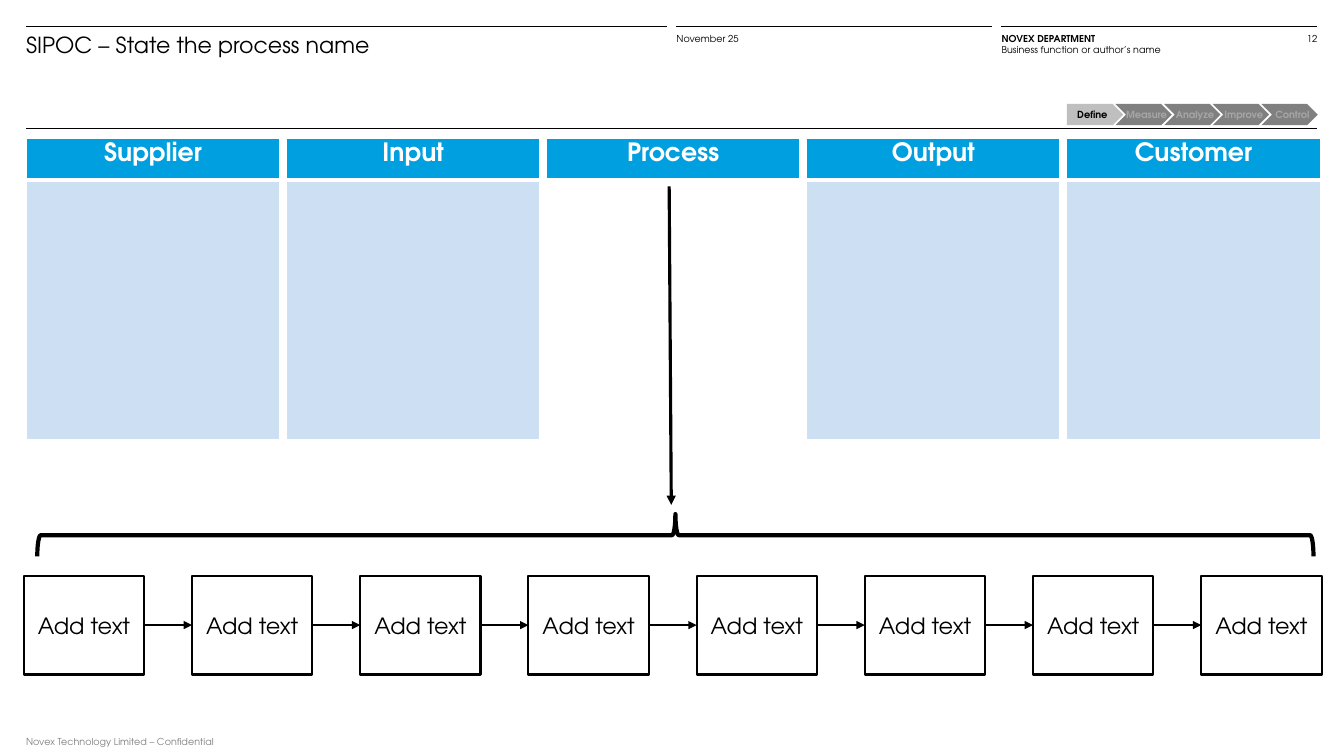
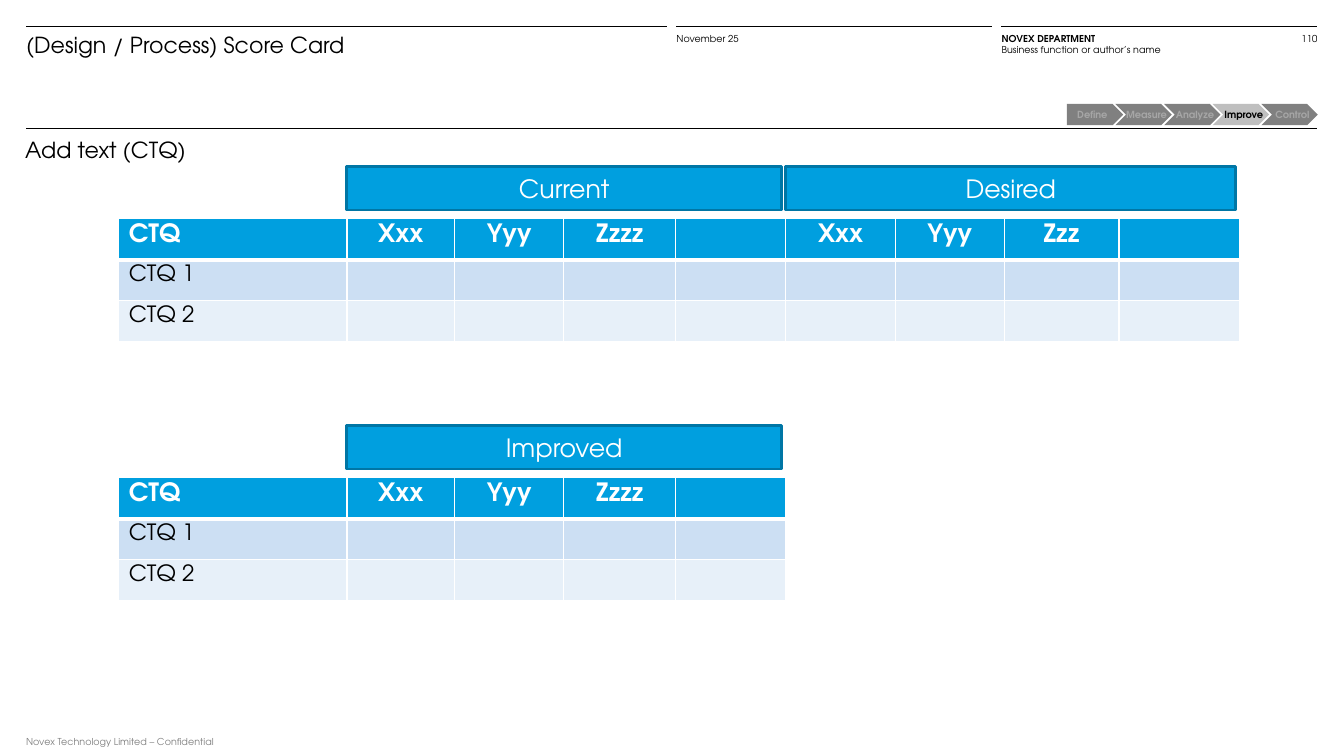
from lxml import etree
from pptx import Presentation
from pptx.dml.color import RGBColor
from pptx.enum import shapes, text
from pptx.oxml.ns import qn
from pptx.util import Pt

# Content
DATE = "November 25"
AUTHOR = ["NOVEX DEPARTMENT", "Business function or author’s name"]
FOOTER = "Novex Technology Limited – Confidential"
PHASES = ["Define", "Measure", "Analyze", "Improve", "Control"]

SIPOC = {"title": "SIPOC – State the process name", "number": "12", "phase": "Define"}
SIPOC_COLUMNS = ["Supplier", "Input", "Process", "Output", "Customer"]
STEPS = ["Add text"] * 8

SCORE_CARD = {"title": "(Design / Process) Score Card", "number": "110", "phase": "Improve"}
SUBTITLE = "Add text (CTQ)"
CTQ_ROWS = ["CTQ 1", "CTQ 2"]
CTQ_TABLES = [
    (["Current", "Desired"], ["CTQ", "Xxx", "Yyy", "Zzzz", "", "Xxx", "Yyy", "Zzz", ""]),
    (["Improved"], ["CTQ", "Xxx", "Yyy", "Zzzz", ""]),
]

# Style
FONT = "TeX Gyre Adventor"
BLACK, WHITE, GREY = "000000", "FFFFFF", "808080"
BLUE, DARK_BLUE, PALE, PALER = "009FDF", "0076A5", "CCDFF3", "E7F0F9"
ACTIVE, MUTED = "BFBFBF", "A6A6A6"
LEFT, RIGHT = 18.6, 941
HEADER_RULES = [(LEFT, 476.6), (483.2, 708.6), (715.2, RIGHT)]
TOP_RULE, CONTENT_RULE = 18.8, 91.6
TITLE = {"size": 15.8, "inset": (0, 3, 7, 0)}
SMALL = {"size": 6.8, "spacing": 7.9}
HEAD = {"size": 18, "color": WHITE, "bold": True}
COLUMN_WIDTHS = [163, 77, 78, 80, 78.5, 78.5, 77.5, 82, 86.5]
GROUP = 4  # columns under one band


def rgb(value):
    return RGBColor.from_string(value)


def write(tf, lines, size=16, color=BLACK, bold=False, align="LEFT", anchor="TOP",
          inset=(7.2, 3.6, 7.2, 3.6), spacing=None, wrap=True):
    frame = {"word_wrap": wrap, "vertical_anchor": getattr(text.MSO_ANCHOR, anchor)}
    for side, value in zip(("left", "top", "right", "bottom"), inset):
        frame["margin_" + side] = Pt(value)
    for key, value in frame.items():
        setattr(tf, key, value)
    for i, line in enumerate(lines):
        p = tf.add_paragraph() if i else tf.paragraphs[0]
        p.alignment = getattr(text.PP_ALIGN, align)
        if spacing:
            p.line_spacing = Pt(spacing)
        r = p.add_run()
        r.text = line
        for key, value in {"name": FONT, "size": Pt(size), "bold": bold}.items():
            setattr(r.font, key, value)
        r.font.color.rgb = rgb(color)


def text_box(s, box, lines, **fmt):
    tf = s.shapes.add_textbox(*map(Pt, box)).text_frame
    write(tf, lines, **{"inset": (0, 0, 0, 0), **fmt})
    return tf


def add_shape(parent, kind, box, fill=None, line=None, weight=1, label=None, **fmt):
    sp = parent.shapes.add_shape(getattr(shapes.MSO_SHAPE, kind), *map(Pt, box))
    sp.shadow.inherit = False
    if fill:
        sp.fill.solid()
        sp.fill.fore_color.rgb = rgb(fill)
    else:
        sp.fill.background()
    if line:
        sp.line.color.rgb = rgb(line)
        sp.line.width = Pt(weight)
    else:
        sp.line.fill.background()
    if label:
        write(sp.text_frame, [label], align="CENTER", anchor="MIDDLE", **fmt)
    return sp


def add_line(s, start, end, weight=0.5, arrow=False):
    cx = s.shapes.add_connector(shapes.MSO_CONNECTOR.STRAIGHT, *map(Pt, start + end))
    cx.line.color.rgb = rgb(BLACK)
    cx.line.width = Pt(weight)
    sp_pr = cx._element.spPr
    if arrow:
        etree.SubElement(sp_pr.find(qn("a:ln")), qn("a:tailEnd"), type="triangle")
    etree.SubElement(sp_pr, qn("a:effectLst"))
    return cx


def set_borders(cell, weights):
    tc_pr = cell._tc.get_or_add_tcPr()
    for i, (side, weight) in enumerate(zip("LRTB", weights)):
        ln = etree.Element(qn("a:ln" + side), w=str(Pt(weight)))
        solid = etree.SubElement(ln, qn("a:solidFill"))
        etree.SubElement(solid, qn("a:srgbClr"), val=WHITE)
        tc_pr.insert(i, ln)


def add_table(s, left, top, widths, heights, rows, first_align):
    """Blue header row over pale banded rows, with white borders."""
    frame = s.shapes.add_table(len(rows), len(widths), Pt(left), Pt(top),
                               Pt(sum(widths)), Pt(sum(heights)))
    table = frame.table
    table.first_row = table.horz_banding = False
    for column, width in zip(table.columns, widths):
        column.width = Pt(width)
    for i, (row, height) in enumerate(zip(rows, heights)):
        table.rows[i].height = Pt(height)
        for j, value in enumerate(row):
            cell = table.cell(i, j)
            cell.fill.solid()
            cell.fill.fore_color.rgb = rgb([BLUE, PALE, PALER][i])
            set_borders(cell, (1, 1, 3 if i == 1 else 1, 1 if i else 3))
            if value:
                write(cell.text_frame, [value], align="CENTER" if j else first_align,
                      **({} if i else HEAD))


def add_tracker(s, current):
    """Row of phase arrows with the current one lit."""
    group = s.shapes.add_group_shape()
    for i, phase in enumerate(PHASES):
        lit = phase == current
        add_shape(group, "CHEVRON" if i else "PENTAGON", (762 + i * 34.75, 74.3, 40.3, 15.2),
                  fill=ACTIVE if lit else GREY, label=phase, size=7, bold=True,
                  color=BLACK if lit else MUTED, wrap=False,
                  inset=(4 if i else 0, 0, 0, 0))


def new_slide(prs, title, number, phase):
    s = prs.slides.add_slide(prs.slide_layouts[6])
    for start, end in HEADER_RULES:
        add_line(s, (start, TOP_RULE), (end, TOP_RULE))
    add_line(s, (LEFT, CONTENT_RULE), (RIGHT, CONTENT_RULE))
    text_box(s, (LEFT, 19.4, 458, 44.6), [title], **TITLE)
    text_box(s, (483.2, 23.8, 225, 16), [DATE], **SMALL)
    author = text_box(s, (715.5, 23.8, 148, 16), AUTHOR, **SMALL)
    author.paragraphs[0].runs[0].font.bold = True
    text_box(s, (870.5, 23.8, 70.5, 8), [number], size=6.8, align="RIGHT")
    text_box(s, (LEFT, 526.3, 226, 8), [FOOTER], color=GREY, **SMALL)
    add_tracker(s, phase)
    return s


def build_sipoc(prs):
    s = new_slide(prs, **SIPOC)
    # Column tables; the process column has no body
    for i, name in enumerate(SIPOC_COLUMNS):
        rows = [[name]] if name == "Process" else [[name], [""]]
        add_table(s, 18.8 + i * 185.8, 98.8, [181], [30, 185][:len(rows)], rows, "CENTER")
    # Arrow and brace down to the steps
    add_line(s, (478, 133.2), (479.5, 360.7), 2.25, arrow=True)
    brace = add_shape(s, "LEFT_BRACE", (467.3, -73.5, 30.2, 911.6), line=BLACK, weight=3)
    brace.rotation = 90
    brace.adjustments[0], brace.adjustments[1] = 0.08, 0.5
    # Process steps
    top, width, height, pitch = 411.2, 86, 70.6, 120.15
    boxes = [add_shape(s, "RECTANGLE", (17 + i * pitch, top, width, height),
                       line=BLACK, weight=1.5, label=step)
             for i, step in enumerate(STEPS)]
    for a, b in zip(boxes, boxes[1:]):
        cx = add_line(s, (0, 0), (0, 0), 1, arrow=True)
        cx.begin_connect(a, 3)
        cx.end_connect(b, 1)


def build_score_card(prs):
    s = new_slide(prs, **SCORE_CARD)
    text_box(s, (18, 94.3, 400, 44.6), [SUBTITLE], **TITLE)
    left, gap = 84.8, 3
    for i, (bands, header) in enumerate(CTQ_TABLES):
        top = 118.8 + i * 185
        widths = COLUMN_WIDTHS[:len(header)]
        blanks = [""] * (len(header) - 1)
        rows = [header] + [[name] + blanks for name in CTQ_ROWS]
        add_table(s, left, top + 37.5, widths, [29.2] * len(rows), rows, "LEFT")
        # Bands over each group of columns
        for j, band in enumerate(bands):
            first = 1 + j * GROUP
            x = left + sum(widths[:first])
            width = sum(widths[first:first + GROUP]) - gap
            add_shape(s, "RECTANGLE", (x, top, width, 31.2), fill=BLUE, line=DARK_BLUE,
                      weight=2, label=band, size=18, color=WHITE)


def main():
    prs = Presentation()
    prs.slide_width, prs.slide_height = Pt(960), Pt(540)
    build_sipoc(prs)
    build_score_card(prs)
    prs.save("out.pptx")


if __name__ == "__main__":
    main()
